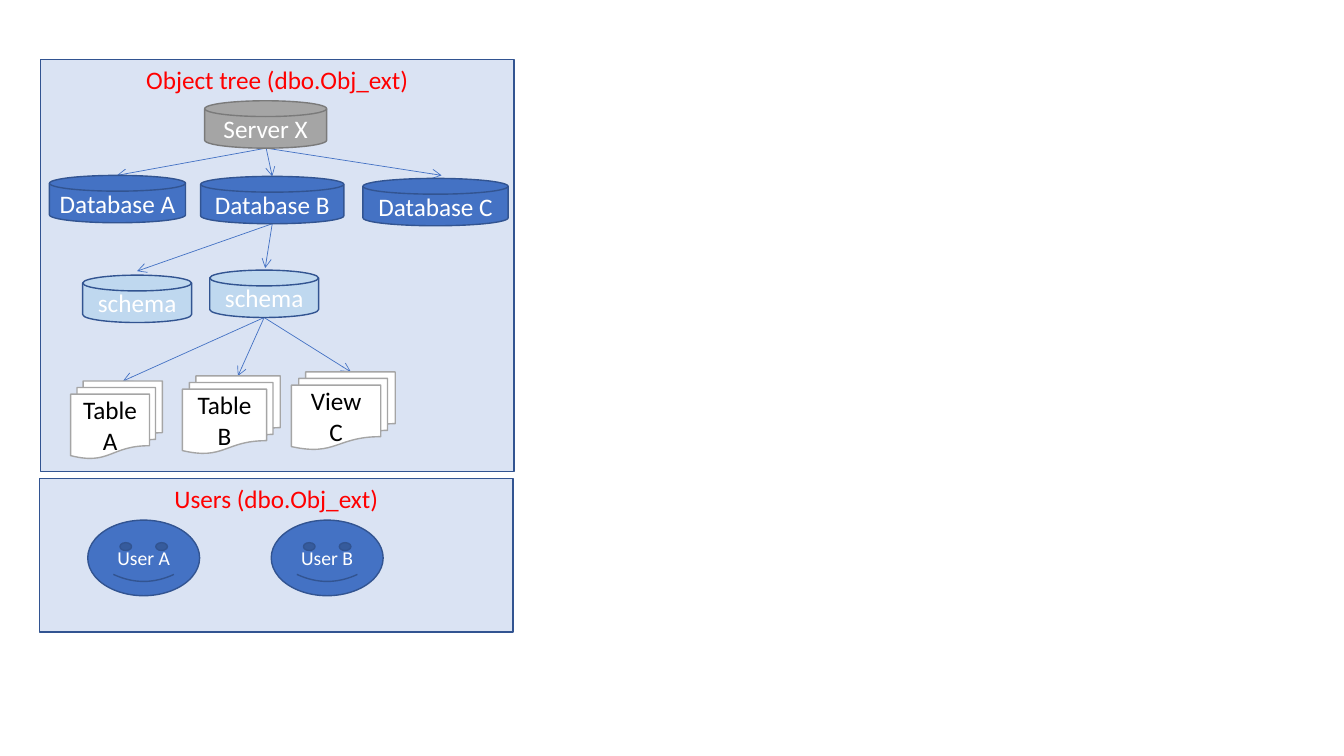
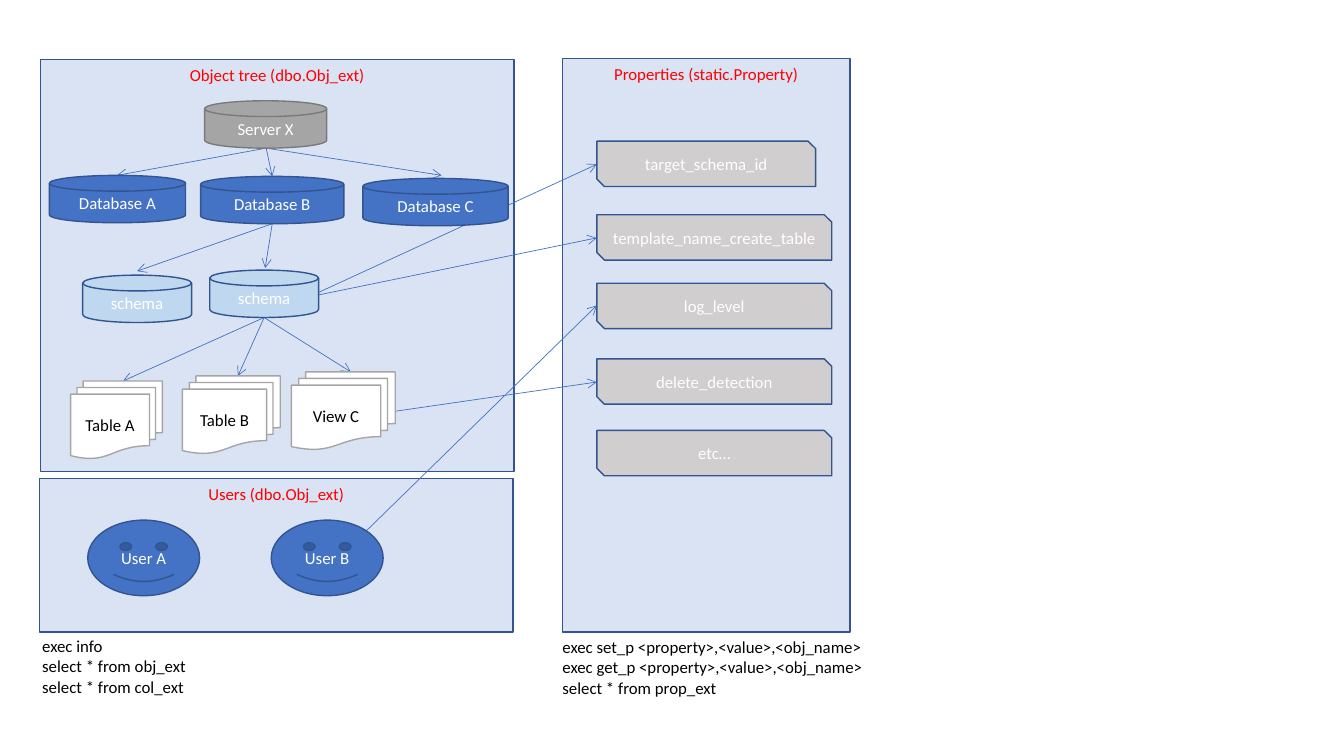
"""Build two slides on the object tree, its users and their properties."""
from lxml import etree
from pptx import Presentation
from pptx.dml.color import RGBColor
from pptx.enum import shapes, text
from pptx.oxml import ns
from pptx.util import Inches, Pt

PALE = RGBColor(0xDA, 0xE3, 0xF3)
BLUE = RGBColor(0x44, 0x72, 0xC4)
NAVY = RGBColor(0x32, 0x54, 0x91)
SKY = RGBColor(0xBF, 0xD8, 0xEF)
GREY = RGBColor(0xA5, 0xA5, 0xA5)
DARK = RGBColor(0x7A, 0x7A, 0x7A)
SILVER = RGBColor(0xD0, 0xCE, 0xCE)
WHITE = RGBColor(0xFF, 0xFF, 0xFF)
BLACK = RGBColor(0, 0, 0)
RED = RGBColor(0xFF, 0, 0)

FORM = shapes.MSO_SHAPE
TOP, MIDDLE = text.MSO_ANCHOR.TOP, text.MSO_ANCHOR.MIDDLE

STYLES = {
    "panel": (FORM.RECTANGLE, PALE, NAVY, RED, TOP),
    "server": (FORM.FLOWCHART_MAGNETIC_DISK, GREY, DARK, WHITE, MIDDLE),
    "base": (FORM.FLOWCHART_MAGNETIC_DISK, BLUE, NAVY, WHITE, MIDDLE),
    "schema": (FORM.FLOWCHART_MAGNETIC_DISK, SKY, NAVY, WHITE, MIDDLE),
    "table": (FORM.FLOWCHART_MULTIDOCUMENT, WHITE, GREY, BLACK, MIDDLE),
    "user": (FORM.SMILEY_FACE, BLUE, NAVY, WHITE, MIDDLE),
    "prop": (FORM.SNIP_2_DIAG_RECTANGLE, SILVER, NAVY, WHITE, MIDDLE),
}

PANELS = [
    ("panel", "Object tree (dbo.Obj_ext)", 0.4, 0.59, 4.7, 4.09),
    ("panel", "Users (dbo.Obj_ext)", 0.39, 4.75, 4.7, 1.52),
]
NODES = [
    ("server", "Server X", 2.03, 1, 1.21, 0.47),
    ("base", "Database A", 0.49, 1.74, 1.35, 0.47),
    ("base", "Database B", 1.99, 1.75, 1.42, 0.47),
    ("base", "Database C", 3.6, 1.77, 1.44, 0.47),
    ("schema", "schema", 0.82, 2.73, 1.08, 0.47),
    ("schema", "schema", 2.08, 2.68, 1.08, 0.47),
    ("table", "Table A", 0.7, 3.78, 0.91, 0.77),
    ("table", "Table B", 1.81, 3.73, 0.97, 0.77),
    ("table", "View C", 2.89, 3.69, 1.03, 0.77),
    ("user", "User A", 0.87, 5.16, 1.11, 0.75),
    ("user", "User B", 2.69, 5.16, 1.11, 0.75),
]
TREE = [
    ((2.64, 1.47), [(1.16, 1.74), (2.7, 1.75), (4.38, 1.74)]),
    ((2.7, 2.22), [(1.36, 2.69), (2.63, 2.66)]),
    ((2.62, 3.15), [(1.22, 3.78), (2.36, 3.73), (3.48, 3.69)]),
]

PROPS = [("panel", "Properties (static.Property)", 5.58, 0.58, 2.85, 5.69)]
FIELDS = [
    ("prop", name, 5.92, top, wide, 0.45)
    for name, top, wide in [
        ("target_schema_id", 1.4, 2.17),
        ("template_name_create_table", 2.13, 2.33),
        ("log_level", 2.81, 2.33),
        ("delete_detection", 3.56, 2.33),
        ("etc…", 4.27, 2.33),
    ]
]
LINKS = [
    ((3.14, 2.91), [(5.92, 1.63)]),
    ((3.14, 2.93), [(5.92, 2.36)]),
    ((3.63, 5.27), [(5.92, 3.03)]),
    ((3.92, 4.08), [(5.92, 3.79)]),
]
NOTES = [
    ("exec info\vselect * from obj_ext\vselect * from col_ext", 0.32, 6.26, 1.65, 0.71),
    ("exec set_p <property>,<value>,<obj_name>\n"
     "exec get_p <property>,<value>,<obj_name>\n"
     "select * from prop_ext", 5.48, 6.27, 3.21, 0.71),
]

SLIDES = [
    (18, 14, PANELS, TREE, NODES, []),
    (12, 12, PANELS + PROPS, TREE + LINKS, NODES + FIELDS, NOTES),
]


def write(frame, words, size, color, align):
    """Fill a text frame with evenly styled paragraphs."""
    frame.text = words
    for par in frame.paragraphs:
        par.alignment = align
        for run in par.runs:
            for key, value in {"name": "Calibri", "size": Pt(size)}.items():
                setattr(run.font, key, value)
            run.font.color.rgb = color


def draw(slide, items, size, small):
    """Draw labelled shapes in their named styles."""
    for kind, words, *box in items:
        form, fill, edge, ink, anchor = STYLES[kind]
        shape = slide.shapes.add_shape(form, *map(Inches, box))
        shape.shadow.inherit = False
        shape.fill.solid()
        shape.fill.fore_color.rgb = fill
        shape.line.color.rgb = edge
        shape.line.width = Pt(1)
        frame = shape.text_frame
        frame.word_wrap = True
        frame.vertical_anchor = anchor
        points = small if kind == "user" else size
        write(frame, words, points, ink, text.PP_ALIGN.CENTER)


deck = Presentation()
deck.slide_width, deck.slide_height = Inches(13.33), Inches(7.5)

for size, small, panels, arrows, nodes, notes in SLIDES:
    slide = deck.slides.add_slide(deck.slide_layouts[6])
    draw(slide, panels, size, small)
    for start, ends in arrows:
        for end in ends:
            arrow = slide.shapes.add_connector(
                shapes.MSO_CONNECTOR.STRAIGHT, *map(Inches, start + end))
            arrow.line.color.rgb = BLUE
            arrow.line.width = Pt(0.5)
            line = arrow.line._get_or_add_ln()
            etree.SubElement(line, ns.qn("a:tailEnd"), type="arrow")
            etree.SubElement(line.getparent(), ns.qn("a:effectLst"))
    draw(slide, nodes, size, small)
    for words, *box in notes:
        frame = slide.shapes.add_textbox(*map(Inches, box)).text_frame
        frame.word_wrap = False
        frame.auto_size = text.MSO_AUTO_SIZE.SHAPE_TO_FIT_TEXT
        write(frame, words, size, BLACK, text.PP_ALIGN.LEFT)

deck.save("out.pptx")
